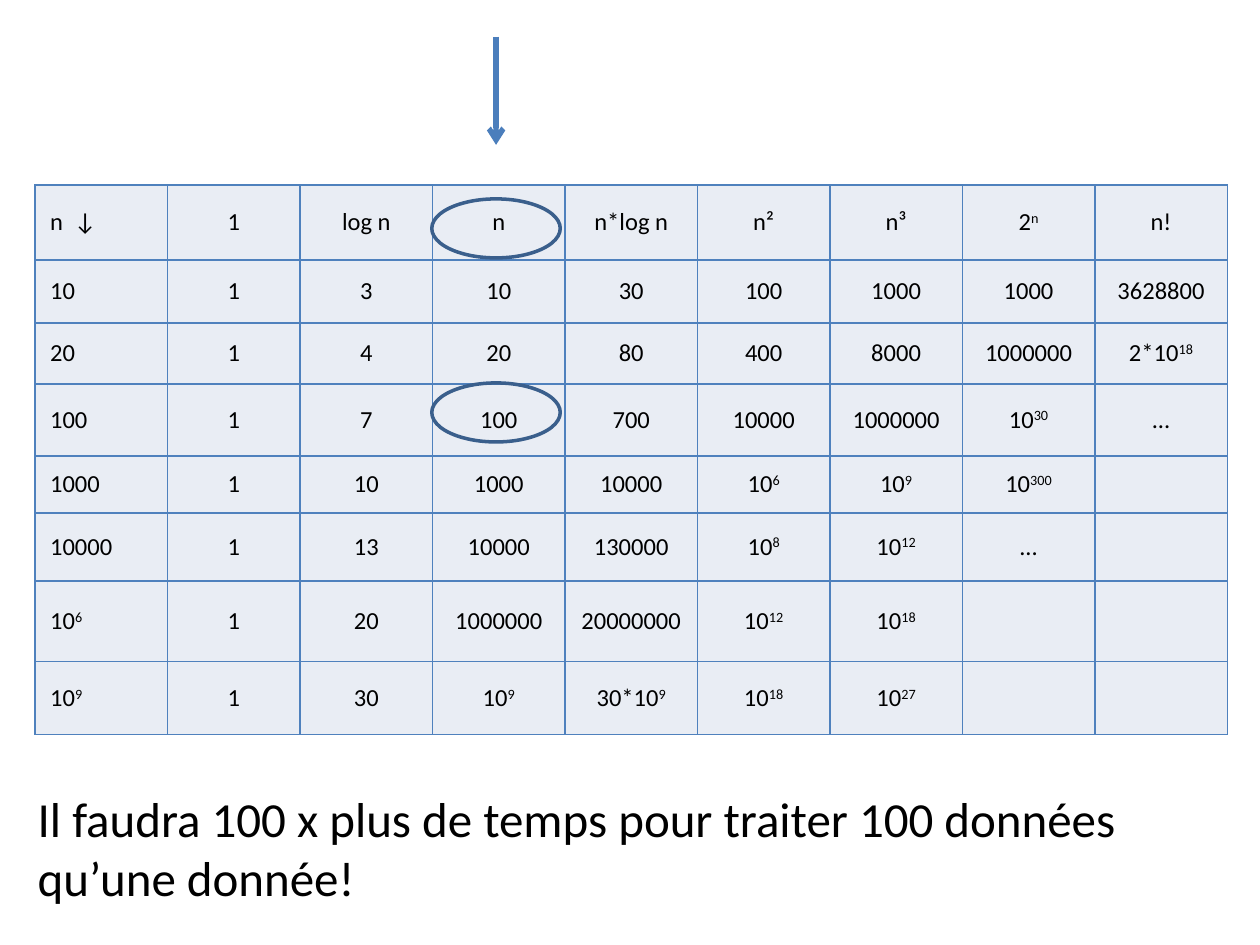
from lxml.etree import SubElement
from pptx import Presentation
from pptx.dml.color import RGBColor
from pptx.enum.shapes import MSO_CONNECTOR, MSO_SHAPE
from pptx.enum.text import MSO_ANCHOR, MSO_AUTO_SIZE, PP_ALIGN
from pptx.oxml.ns import qn
from pptx.util import Cm, Pt

ROWS = [
    ["n  ↓", "1", "log n", "n", "n*log n", "n²", "n³", "2^n", "n!"],
    ["10", "1", "3", "10", "30", "100", "1000", "1000", "3628800"],
    ["20", "1", "4", "20", "80", "400", "8000", "1000000", "2*10^18"],
    ["100", "1", "7", "100", "700", "10000", "1000000", "10^30", "..."],
    ["1000", "1", "10", "1000", "10000", "10^6", "10^9", "10^300", ""],
    ["10000", "1", "13", "10000", "130000", "10^8", "10^12", "...", ""],
    ["10^6", "1", "20", "1000000", "20000000", "10^12", "10^18", "", ""],
    ["10^9", "1", "30", "10^9", "30*10^9", "10^18", "10^27", "", ""],
]
TALL = [1.51, 1.27, 1.23, 1.45, 1.15, 1.37, 1.63, 1.47]
WIDE = 2.67
LEFT, TOP = 0.71, 3.73
NOTE = ["Il faudra 100 x plus de temps pour traiter 100 données", "qu’une donnée!"]
MID = 10
RING_W, RING_H = 2.59, 1.19
RINGS = [4.01, 7.72]
ARROW = (0.74, 2.92)


def paint(part, code):
    """Give a fill or a font one solid colour."""
    if hasattr(part, "solid"):
        part.solid()
        part.fore_color.rgb = RGBColor.from_string(code)
    else:
        part.color.rgb = RGBColor.from_string(code)


def write(para, text, size):
    """Add one run of black text and return it."""
    run = para.add_run()
    run.text = text
    run.font.name = "Calibri"
    run.font.size = Pt(size)
    paint(run.font, "000000")
    return run


def edge(cell, code):
    """Draw a thin line on the four sides of a cell."""
    props = cell._tc.get_or_add_tcPr()
    for side in ("a:lnL", "a:lnR", "a:lnT", "a:lnB"):
        line = SubElement(props, qn(side), w=str(Pt(1)))
        fill = SubElement(line, qn("a:solidFill"))
        SubElement(fill, qn("a:srgbClr"), val=code)


def dress(cell, text, first):
    """Format one cell, with the part after ^ raised."""
    edge(cell, "4F81BD")
    paint(cell.fill, "E9EDF4")
    cell.vertical_anchor = MSO_ANCHOR.MIDDLE
    cell.margin_left = cell.margin_right = Cm(0.3)
    cell.margin_top = cell.margin_bottom = 0
    if not text:
        return
    para = cell.text_frame.paragraphs[0]
    para.alignment = PP_ALIGN.LEFT if first else PP_ALIGN.CENTER
    para.space_after = Pt(12)
    base, _, power = text.partition("^")
    write(para, base, 14)
    if power:
        run = write(para, power, 14)
        run._r.get_or_add_rPr().set("baseline", "30000")


def add_grid(slide):
    """Add the table of growth rates."""
    count = len(ROWS[0])
    grid = slide.shapes.add_table(len(ROWS), count, Cm(LEFT), Cm(TOP),
                                  Cm(WIDE * count), Cm(sum(TALL))).table
    for col in grid.columns:
        col.width = Cm(WIDE)
    for r, (row, tall) in enumerate(zip(ROWS, TALL)):
        grid.rows[r].height = Cm(tall)
        for c, text in enumerate(row):
            dress(grid.cell(r, c), text, c == 0)


def add_ring(slide, top):
    """Circle a value of the linear column."""
    ring = slide.shapes.add_shape(MSO_SHAPE.OVAL, Cm(MID - RING_W / 2), Cm(top),
                                  Cm(RING_W), Cm(RING_H))
    ring.shadow.inherit = False
    ring.fill.background()
    paint(ring.line, "3A5F8C")
    ring.line.width = Pt(2)


def add_note(slide):
    """Add the closing remark."""
    box = slide.shapes.add_textbox(Cm(0.51), Cm(15.77), Cm(23.19), Cm(2.64))
    frame = box.text_frame
    frame.word_wrap = True
    frame.auto_size = MSO_AUTO_SIZE.SHAPE_TO_FIT_TEXT
    for i, text in enumerate(NOTE):
        para = frame.add_paragraph() if i else frame.paragraphs[0]
        write(para, text, 28)


def add_arrow(slide):
    """Point down at the linear column."""
    start, end = ARROW
    arrow = slide.shapes.add_connector(MSO_CONNECTOR.STRAIGHT, Cm(MID), Cm(start),
                                       Cm(MID), Cm(end))
    paint(arrow.line, "4B7EBC")
    arrow.line.width = Pt(3)
    SubElement(arrow.line._get_or_add_ln(), qn("a:tailEnd"), type="arrow")
    SubElement(arrow._element.spPr, qn("a:effectLst"))


def main():
    """Build and save the slide."""
    deck = Presentation()
    deck.slide_width, deck.slide_height = Cm(25.4), Cm(19.05)
    slide = deck.slides.add_slide(deck.slide_layouts[6])
    add_grid(slide)
    for top in RINGS:
        add_ring(slide, top)
    add_note(slide)
    add_arrow(slide)
    deck.save("out.pptx")


if __name__ == "__main__":
    main()
